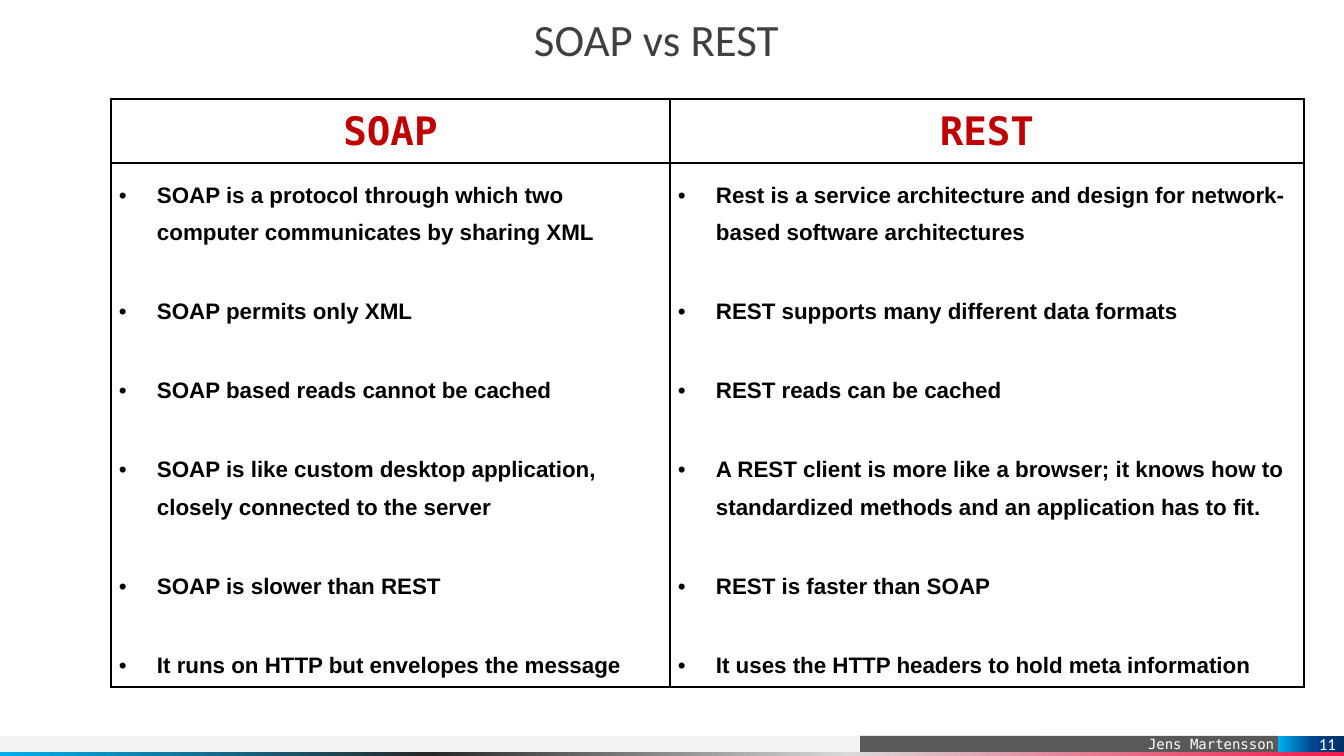
from dataclasses import dataclass

from lxml import etree
from pptx import Presentation
from pptx.dml.color import RGBColor
from pptx.enum.shapes import MSO_SHAPE
from pptx.enum.text import MSO_ANCHOR, PP_ALIGN
from pptx.oxml.ns import qn
from pptx.util import Emu, Pt

RECTANGLE = MSO_SHAPE.RECTANGLE
LEFT, CENTER, RIGHT = PP_ALIGN.LEFT, PP_ALIGN.CENTER, PP_ALIGN.RIGHT
TOP, MIDDLE, BOTTOM = MSO_ANCHOR.TOP, MSO_ANCHOR.MIDDLE, MSO_ANCHOR.BOTTOM
TITLE_ONLY = 5
SLIDE_SIZE = (1344, 756)
EMU_PER_PX = 12192000 / 1344


@dataclass(frozen=True)
class Theme:
    heading_font: str = "Calibri"
    body_font: str = "Arial"
    mono_font: str = "DejaVu Sans Mono"
    title_size: int = 32
    header_size: int = 28
    body_size: int = 16
    footer_size: int = 10
    number_size: int = 12
    title: str = "404040"
    header: str = "C00000"
    ink: str = "000000"
    light: str = "FFFFFF"
    pale_bar: str = "F2F2F2"
    dark_bar: str = "595959"
    stripe: tuple = ((0, "F2194A"), (37, "D9D9D9"), (68, "262626"), (100, "00B0F0"))
    number_fade: tuple = ((0, "003065"), (47, "004490"), (100, "00B0F0"))


THEME = Theme()

COMPARISON = {
    "SOAP": [
        "SOAP is a protocol through which two computer communicates by sharing XML",
        "SOAP permits only XML",
        "SOAP based reads cannot be cached",
        "SOAP is like custom desktop application, closely connected to the server",
        "SOAP is slower than REST",
        "It runs on HTTP but envelopes the message",
    ],
    "REST": [
        "Rest is a service architecture and design for network-based software architectures",
        "REST supports many different data formats",
        "REST reads can be cached",
        "A REST client is more like a browser; it knows how to standardized methods "
        "and an application has to fit.",
        "REST is faster than SOAP",
        "It uses the HTTP headers to hold meta information",
    ],
}


def px(length):
    return Emu(round(length * EMU_PER_PX))


def set_margins(holder, left, top, right, bottom):
    holder.margin_left, holder.margin_top = px(left), px(top)
    holder.margin_right, holder.margin_bottom = px(right), px(bottom)


def write(paragraph, text, *, font, size, color, bold=False, align=LEFT,
          line_spacing=1.0, space_after=0):
    paragraph.alignment = align
    paragraph.line_spacing = line_spacing
    paragraph.space_before = Pt(0)
    paragraph.space_after = Pt(space_after)
    run = paragraph.add_run()
    run.text = text
    run.font.name = font
    run.font.size = Pt(size)
    run.font.bold = bold
    run.font.color.rgb = RGBColor.from_string(color)


def add_bullet(paragraph, indent):
    properties = paragraph._p.get_or_add_pPr()
    properties.set("marL", str(px(indent)))
    properties.set("indent", str(-px(indent)))
    etree.SubElement(properties, qn("a:buFont"), typeface=THEME.body_font)
    etree.SubElement(properties, qn("a:buChar"), char="•")


def fill_gradient(shape, stops):
    shape.fill.gradient()
    shape.fill.gradient_angle = 180
    stop_list = shape._element.spPr.find(qn("a:gradFill")).find(qn("a:gsLst"))
    for stop in list(stop_list):
        stop_list.remove(stop)
    for position, color in stops:
        stop = etree.SubElement(stop_list, qn("a:gs"), pos=str(position * 1000))
        etree.SubElement(stop, qn("a:srgbClr"), val=color)


def add_bar(slide, box, fill):
    bar = slide.shapes.add_shape(RECTANGLE, *map(px, box))
    bar.shadow.inherit = False
    bar.line.fill.background()
    if isinstance(fill, str):
        bar.fill.solid()
        bar.fill.fore_color.rgb = RGBColor.from_string(fill)
    else:
        fill_gradient(bar, fill)
    return bar


def label_bar(bar, text, anchor, margins, **text_format):
    frame = bar.text_frame
    frame.word_wrap = True
    frame.vertical_anchor = anchor
    set_margins(frame, *margins)
    write(frame.paragraphs[0], text, color=THEME.light, align=RIGHT, **text_format)


def add_title(slide, text):
    title = slide.shapes.title
    title.left, title.top, title.width, title.height = map(px, (534, 18, 275, 59))
    frame = title.text_frame
    frame.word_wrap = True
    frame.vertical_anchor = TOP
    set_margins(frame, 0, 0, 0, 0)
    write(frame.paragraphs[0], text, font=THEME.heading_font, size=THEME.title_size,
          color=THEME.title, line_spacing=0.9)


def style_cell(cell, anchor):
    cell.fill.background()
    cell.vertical_anchor = anchor
    set_margins(cell, 8, 8, 8, 8)
    properties = cell._tc.get_or_add_tcPr()
    for position, side in enumerate(("lnL", "lnR", "lnT", "lnB")):
        border = etree.Element(qn(f"a:{side}"), w=str(Pt(1)))
        fill = etree.SubElement(border, qn("a:solidFill"))
        etree.SubElement(fill, qn("a:srgbClr"), val=THEME.ink)
        properties.insert(position, border)


def write_bullets(frame, points):
    for index, point in enumerate(points):
        paragraph = frame.paragraphs[0] if index == 0 else frame.add_paragraph()
        is_last = index == len(points) - 1
        write(paragraph, point, font=THEME.body_font, size=THEME.body_size,
              color=THEME.ink, bold=True, line_spacing=1.5,
              space_after=0 if is_last else 29.8)
        add_bullet(paragraph, 38)


def add_comparison(slide, comparison):
    column_widths, row_heights = (559, 634), (64, 524)
    table = slide.shapes.add_table(
        len(row_heights), len(column_widths), px(111), px(99),
        px(sum(column_widths)), px(sum(row_heights))).table
    table.first_row = table.horz_banding = False
    for row, height in zip(table.rows, row_heights):
        row.height = px(height)
    for index, (name, points) in enumerate(comparison.items()):
        table.columns[index].width = px(column_widths[index])
        header, body = table.cell(0, index), table.cell(1, index)
        style_cell(header, BOTTOM)
        style_cell(body, TOP)
        write(header.text_frame.paragraphs[0], name, font=THEME.mono_font,
              size=THEME.header_size, color=THEME.header, bold=True, align=CENTER,
              line_spacing=Pt(15), space_after=8)
        write_bullets(body.text_frame, points)


def add_footer(slide, author, number):
    add_bar(slide, (-1, 736, 1037, 16), THEME.pale_bar)
    author_bar = add_bar(slide, (860, 736, 418, 16), THEME.dark_bar)
    label_bar(author_bar, author, BOTTOM, (10, 0, 4, 0),
              font=THEME.mono_font, size=THEME.footer_size)
    add_bar(slide, (-1, 752, 1345, 4), THEME.stripe)
    number_bar = add_bar(slide, (1278, 736, 66, 16), THEME.number_fade)
    label_bar(number_bar, number, MIDDLE, (0, 0, 8, 0),
              font=THEME.heading_font, size=THEME.number_size)


def main():
    presentation = Presentation()
    presentation.slide_width, presentation.slide_height = map(px, SLIDE_SIZE)
    slide = presentation.slides.add_slide(presentation.slide_layouts[TITLE_ONLY])
    add_footer(slide, "Jens Martensson", "11")
    add_title(slide, "SOAP vs REST")
    add_comparison(slide, COMPARISON)
    presentation.save("out.pptx")


if __name__ == "__main__":
    main()
